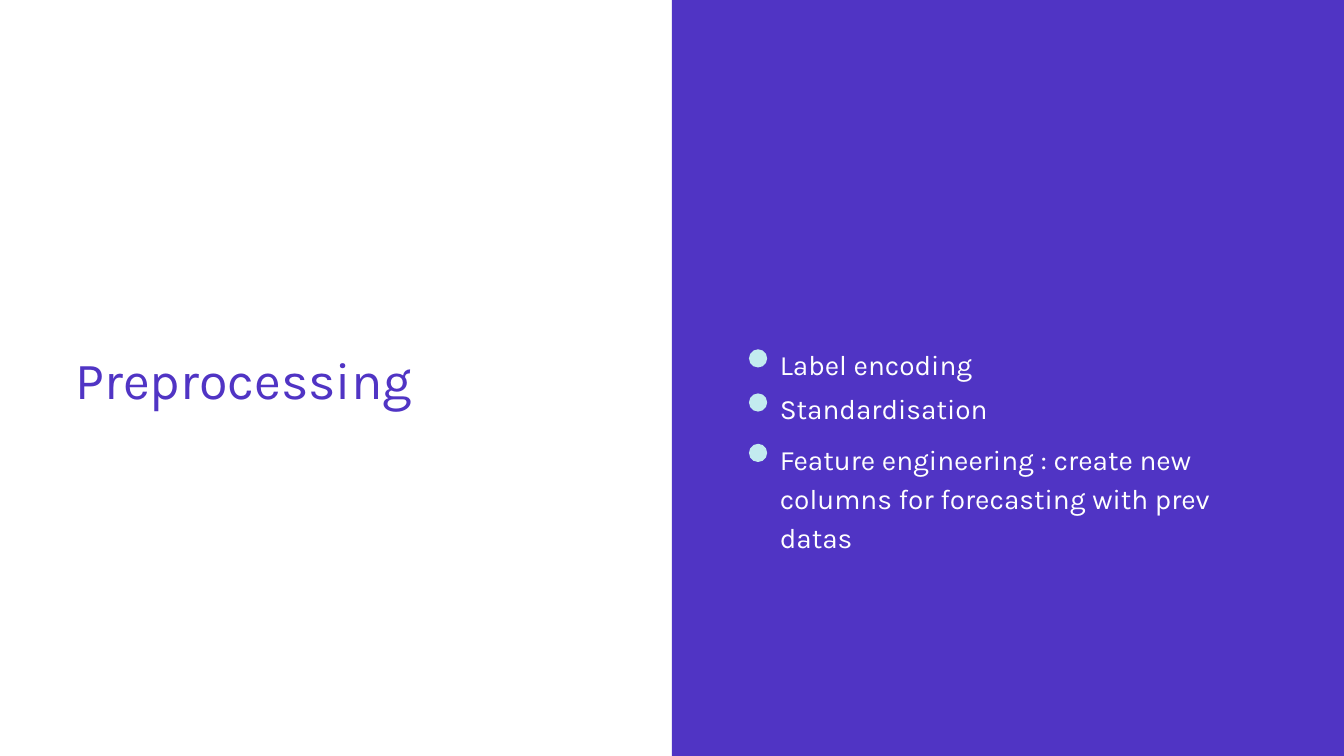
"""Build the Preprocessing slide: a title on white beside a dotted list on purple."""
import pptx
import pptx.dml.color
import pptx.enum.shapes
import pptx.enum.text
import pptx.util

PX = 9525
KIND = pptx.enum.shapes.MSO_SHAPE
PURPLE, MINT, WHITE = "5034C4", "C3EBEF", "FFFFFF"

deck = pptx.Presentation()
deck.slide_width = 1920 * PX
deck.slide_height = 1080 * PX
slide = deck.slides.add_slide(deck.slide_layouts[6])


def paint(kind, box, color):
    shape = slide.shapes.add_shape(kind, *[n * PX for n in box])
    shape.shadow.inherit = False
    shape.fill.solid()
    shape.fill.fore_color.rgb = pptx.dml.color.RGBColor.from_string(color)
    shape.line.fill.background()


def write(text, box, size, pitch, color):
    frame = slide.shapes.add_textbox(*[n * PX for n in box]).text_frame
    frame.margin_left = frame.margin_right = 0
    frame.margin_top = frame.margin_bottom = 0
    frame.word_wrap = True
    frame.auto_size = pptx.enum.text.MSO_AUTO_SIZE.SHAPE_TO_FIT_TEXT
    line = frame.paragraphs[0]
    line.text = text
    line.line_spacing = pptx.util.Pt(pitch)
    line.font.name = "Karla"
    line.font.size = pptx.util.Pt(size)
    line.font.color.rgb = pptx.dml.color.RGBColor.from_string(color)


paint(KIND.RECTANGLE, (960, -26, 972, 1131), PURPLE)
write("Preprocessing", (108, 496, 752, 88), 55.8, 66.9, PURPLE)

steps = [
    ("Label encoding", 489, 52),
    ("Standardisation", 552, 52),
    ("Feature engineering : create new columns for forecasting with prev datas", 624, 161),
]
for text, top, height in steps:
    paint(KIND.OVAL, (1070, top + 10, 26, 26), MINT)
    write(text, (1114, top, 698, height), 30, 42, WHITE)

deck.save("out.pptx")
